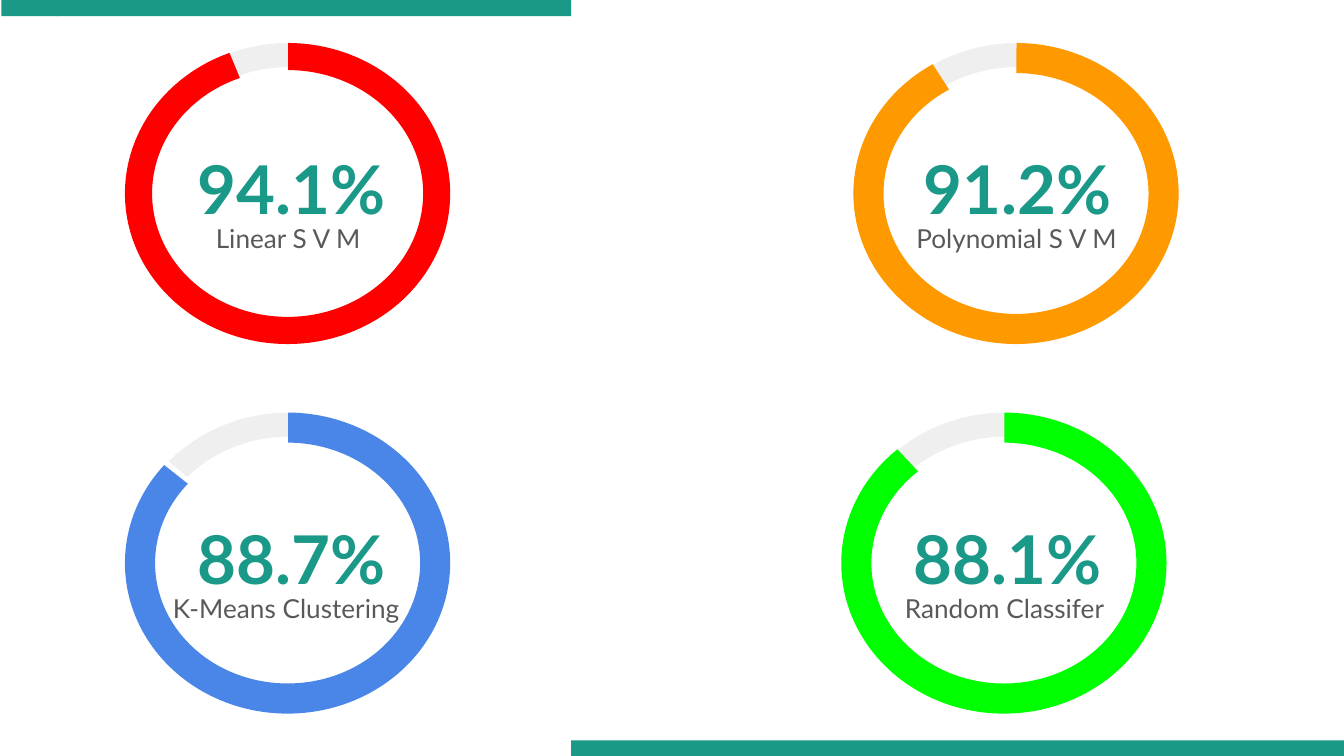
from pptx import Presentation
from pptx.dml.color import RGBColor
from pptx.enum.shapes import MSO_SHAPE as Preset
from pptx.enum.text import MSO_ANCHOR as Anchor, PP_ALIGN as Align
from pptx.util import Inches, Pt

THEME = {
    "font": "Lato",
    "accent": "1A9988",
    "label": "595959",
    "track": "EFEFEF",
    "score_size": 36,
    "label_size": 14,
}

MODELS = [
    {"score": "91.2%", "name": "Polynomial S V M", "left": 6.35, "top": 0.32, "color": "FF9900",
     "end": 237.2, "thickness": 0.1, "score_width": 1.66, "name_offset": 0.33, "name_width": 1.77},
    {"score": "94.1%", "name": "Linear S V M", "left": 0.93, "top": 0.32, "color": "FF0000",
     "end": 247.55, "thickness": 0.09, "score_width": 1.7, "name_offset": 0.33, "name_width": 1.77},
    {"score": "88.7%", "name": "K-Means Clustering", "left": 0.93, "top": 3.07, "color": "4A86E8",
     "end": 218.48, "thickness": 0.1, "score_width": 1.7, "name_offset": 0.25, "name_width": 1.9},
    {"score": "88.1%", "name": "Random Classifer", "left": 6.26, "top": 3.07, "color": "00FF00",
     "end": 226.89, "thickness": 0.1, "score_width": 1.7, "name_offset": 0.33, "name_width": 1.77},
]

BARS = [(0.01, 0, 0.42), (4.25, 5.51, 5.75), (0.42, 0, 3.83)]
BAR_HEIGHT = 0.12
RING_WIDTH, RING_HEIGHT = 2.42, 2.24
RING_START = 270.19
TRACK_START, TRACK_END, TRACK_THICKNESS, TRACK_ROTATION = 43.8, 98.01, 0.08, 176.8
ANGLE_UNIT = 0.6


def add_filled(slide, preset, left, top, width, height, color):
    shape = slide.shapes.add_shape(preset, Inches(left), Inches(top), Inches(width), Inches(height))
    shape.shadow.inherit = False
    shape.fill.solid()
    shape.fill.fore_color.rgb = RGBColor.from_string(color)
    shape.line.fill.background()
    return shape


def add_arc(slide, model, start, end, thickness, color, rotation=0):
    arc = add_filled(slide, Preset.BLOCK_ARC, model["left"], model["top"], RING_WIDTH, RING_HEIGHT, color)
    arc.adjustments[0] = start * ANGLE_UNIT
    arc.adjustments[1] = end * ANGLE_UNIT
    arc.adjustments[2] = thickness
    arc.rotation = rotation


def add_text(slide, text, left, top, width, height, size, color, bold=False, space_after=0):
    box = slide.shapes.add_textbox(Inches(left), Inches(top), Inches(width), Inches(height))
    frame = box.text_frame
    frame.word_wrap = True
    frame.vertical_anchor = Anchor.TOP
    frame.margin_left = frame.margin_right = frame.margin_top = frame.margin_bottom = Inches(0.1)
    frame.text = text
    paragraph = frame.paragraphs[0]
    paragraph.alignment = Align.CENTER
    paragraph.line_spacing = 1.15
    paragraph.space_after = Pt(space_after)
    font = paragraph.runs[0].font
    font.name = THEME["font"]
    font.size = Pt(size)
    font.bold = bold
    font.color.rgb = RGBColor.from_string(color)


def add_gauge(slide, model):
    left, top = model["left"], model["top"]
    add_arc(slide, model, TRACK_START, TRACK_END, TRACK_THICKNESS, THEME["track"], TRACK_ROTATION)
    add_text(slide, model["score"], left + 0.39, top + 0.59, model["score_width"], 0.53,
             THEME["score_size"], THEME["accent"], bold=True)
    add_arc(slide, model, RING_START, model["end"], model["thickness"], model["color"])
    add_text(slide, model["name"], left + model["name_offset"], top + 1.2, model["name_width"], 0.63,
             THEME["label_size"], THEME["label"], space_after=16)


def main():
    presentation = Presentation()
    presentation.slide_width = Inches(10)
    presentation.slide_height = presentation.slide_width * 9 // 16
    slide = presentation.slides.add_slide(presentation.slide_layouts[6])
    for model in MODELS:
        add_gauge(slide, model)
    for left, top, width in BARS:
        add_filled(slide, Preset.RECTANGLE, left, top, width, BAR_HEIGHT, THEME["accent"])
    presentation.save("out.pptx")


if __name__ == "__main__":
    main()
